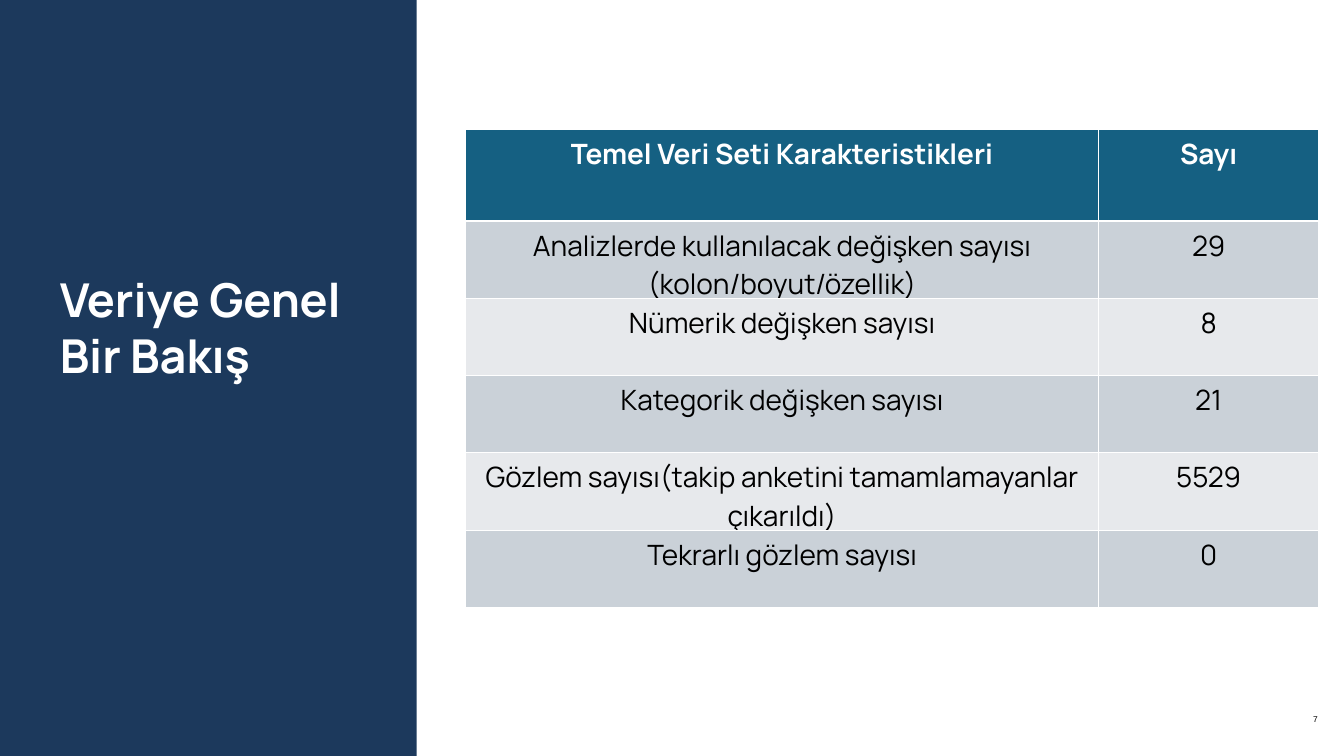
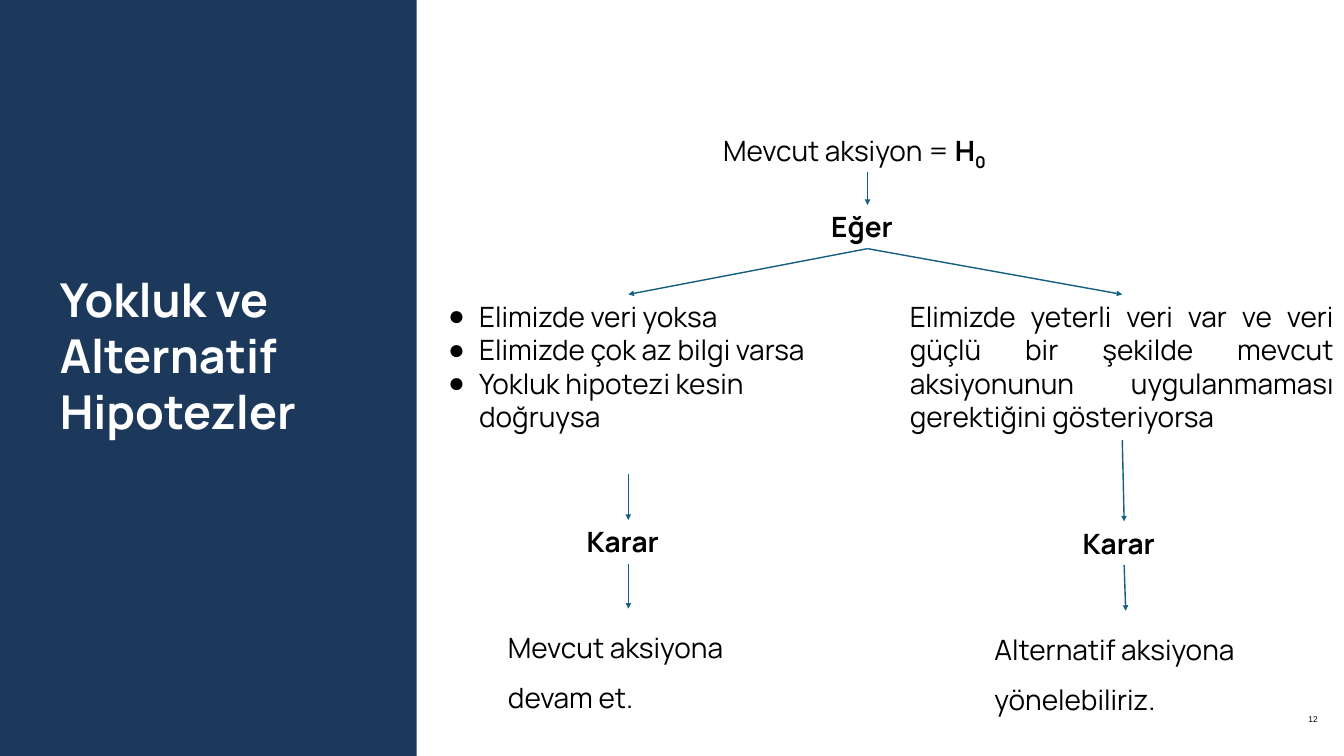
from dataclasses import dataclass
from typing import NamedTuple

from pptx import Presentation
from pptx.dml.color import RGBColor
from pptx.enum.shapes import MSO_CONNECTOR, MSO_SHAPE
from pptx.enum.text import MSO_ANCHOR, MSO_AUTO_SIZE, PP_ALIGN
from pptx.oxml.ns import qn
from pptx.util import Cm, Pt
from lxml import etree

LEFT, CENTER, RIGHT, JUSTIFY = PP_ALIGN.LEFT, PP_ALIGN.CENTER, PP_ALIGN.RIGHT, PP_ALIGN.JUSTIFY
TOP, MIDDLE = MSO_ANCHOR.TOP, MSO_ANCHOR.MIDDLE


@dataclass(frozen=True)
class Theme:
    band: str = "1C395C"
    accent: str = "156082"
    row_dark: str = "CAD1D8"
    row_light: str = "E7E9EC"
    white: str = "FFFFFF"
    black: str = "000000"
    font: str = "Manrope"
    number_font: str = "Arial"
    title_size: int = 50
    body_size: int = 30
    number_size: int = 9


THEME = Theme()


class Box(NamedTuple):
    """Left, top, width and height in centimetres."""
    x: float
    y: float
    w: float
    h: float


class Run(NamedTuple):
    text: str
    bold: bool = False
    subscript: bool = False


@dataclass(frozen=True)
class Label:
    box: Box
    paragraphs: list[list[Run]]
    align: PP_ALIGN = LEFT
    spacing: float | None = None
    bullet: bool = False


class Arrow(NamedTuple):
    x1: float
    y1: float
    x2: float
    y2: float


def add_xml(parent, tag: str, **attrs):
    return etree.SubElement(parent, qn(tag), attrs)


def set_bullet(p) -> None:
    pPr = p._p.get_or_add_pPr()
    pPr.set("marL", str(Cm(1.27)))
    pPr.set("indent", str(Cm(-1.17)))
    add_xml(add_xml(pPr, "a:buClr"), "a:srgbClr", val=THEME.black)
    add_xml(pPr, "a:buFont", typeface=THEME.number_font)
    add_xml(pPr, "a:buChar", char="●")


def write(tf, paragraphs: list[list[Run]], *, size: int = THEME.body_size,
          color: str = THEME.black, font: str = THEME.font, align=LEFT,
          spacing: float | None = None, bullet: bool = False) -> None:
    for i, runs in enumerate(paragraphs):
        p = tf.paragraphs[0] if i == 0 else tf.add_paragraph()
        p.alignment = align
        if spacing:
            p.line_spacing = spacing
        if bullet:
            set_bullet(p)
        for run in runs:
            r = p.add_run()
            r.text = run.text
            r.font.size = Pt(size)
            r.font.name = font
            r.font.bold = run.bold
            r.font.color.rgb = RGBColor.from_string(color)
            if run.subscript:
                r._r.get_or_add_rPr().set("baseline", "-25000")


def add_text(slide, box: Box, paragraphs: list[list[Run]], *, inset_x: float = 0.38,
             inset_y: float = 0.18, anchor=TOP, grow: bool = True, **style) -> None:
    tf = slide.shapes.add_textbox(*map(Cm, box)).text_frame
    tf.word_wrap = True
    tf.auto_size = MSO_AUTO_SIZE.SHAPE_TO_FIT_TEXT if grow else MSO_AUTO_SIZE.NONE
    tf.vertical_anchor = anchor
    tf.margin_left = tf.margin_right = Cm(inset_x)
    tf.margin_top = tf.margin_bottom = Cm(inset_y)
    write(tf, paragraphs, **style)


def add_arrow(slide, arrow: Arrow) -> None:
    line = slide.shapes.add_connector(MSO_CONNECTOR.STRAIGHT, *map(Cm, arrow))
    line.line.color.rgb = RGBColor.from_string(THEME.accent)
    line.line.width = Pt(1.5)
    add_xml(line.line._get_or_add_ln(), "a:tailEnd", type="triangle")
    add_xml(line._element.spPr, "a:effectLst")


def add_base_slide(prs, title: str, title_height: float, number: int):
    """Blank slide with the side band, its title and the page number."""
    slide = prs.slides.add_slide(prs.slide_layouts[6])
    band = slide.shapes.add_shape(MSO_SHAPE.RECTANGLE, Cm(0), Cm(-0.1), Cm(15.75), Cm(29))
    band.shadow.inherit = False
    band.fill.solid()
    band.fill.fore_color.rgb = RGBColor.from_string(THEME.band)
    band.line.fill.background()
    add_text(slide, Box(47.27, 26.11, 3.05, 2.18), [[Run(str(number))]], inset_x=0.51,
             inset_y=0.51, anchor=MIDDLE, grow=False, size=THEME.number_size,
             font=THEME.number_font, align=RIGHT)
    add_text(slide, Box(1.75, 9.73, 13.94, title_height), [[Run(title, bold=True)]],
             inset_x=0.51, inset_y=0.51, size=THEME.title_size, color=THEME.white)
    return slide


def set_borders(cell, bottom: float) -> None:
    tcPr = cell._tc.get_or_add_tcPr()
    sides = {"a:lnL": 1, "a:lnR": 1, "a:lnT": 1, "a:lnB": bottom}
    for i, (tag, width) in enumerate(sides.items()):
        ln = etree.Element(qn(tag), w=str(Pt(width)))
        add_xml(add_xml(ln, "a:solidFill"), "a:srgbClr", val=THEME.white)
        tcPr.insert(i, ln)


def add_data_table(slide, rows: list[tuple[str, str]]) -> None:
    widths, header_height, row_height = (23.93, 8.31), 3.48, 2.92
    height = header_height + row_height * (len(rows) - 1)
    table = slide.shapes.add_table(len(rows), len(widths), Cm(17.6), Cm(4.88),
                                   Cm(sum(widths)), Cm(height)).table
    for column, width in zip(table.columns, widths):
        column.width = Cm(width)
    for i, values in enumerate(rows):
        header = i == 0
        table.rows[i].height = Cm(header_height if header else row_height)
        fill = THEME.accent if header else (THEME.row_light, THEME.row_dark)[i % 2]
        for j, value in enumerate(values):
            cell = table.cell(i, j)
            cell.fill.solid()
            cell.fill.fore_color.rgb = RGBColor.from_string(fill)
            cell.margin_left = cell.margin_right = Cm(0.38)
            cell.margin_top = cell.margin_bottom = Cm(0.19)
            set_borders(cell, bottom=3 if header else 1)
            write(cell.text_frame, [[Run(value, bold=header)]], align=CENTER,
                  color=THEME.white if header else THEME.black)


DATA_ROWS = [
    ("Temel Veri Seti Karakteristikleri", "Sayı"),
    ("Analizlerde kullanılacak değişken sayısı (kolon/boyut/özellik)", "29"),
    ("Nümerik değişken sayısı", "8"),
    ("Kategorik değişken sayısı", "21"),
    ("Gözlem sayısı(takip anketini tamamlamayanlar çıkarıldı)", "5529"),
    ("Tekrarlı gözlem sayısı", "0"),
]

DECISION_LABELS = [
    Label(Box(26.95, 4.85, 11.66, 1.68),
          [[Run("Mevcut aksiyon = "), Run("H", bold=True), Run("0", bold=True, subscript=True)]]),
    Label(Box(31.04, 7.75, 3.48, 1.68), [[Run("Eğer", bold=True)]]),
    Label(Box(16.46, 11.13, 14.58, 6.81),
          [[Run("Elimizde veri yoksa")], [Run("Elimizde çok az bilgi varsa")],
           [Run("Yokluk hipotezi kesin doğruysa")]], bullet=True),
    Label(Box(34.01, 11.13, 16.79, 5.51),
          [[Run("Elimizde yeterli veri var ve veri güçlü bir şekilde mevcut aksiyonunun "
                "uygulanmaması gerektiğini gösteriyorsa")]], align=JUSTIFY),
    Label(Box(21.79, 19.66, 3.91, 1.68), [[Run("Karar", bold=True)]]),
    Label(Box(40.54, 19.71, 3.91, 1.68), [[Run("Karar", bold=True)]]),
    Label(Box(18.82, 23.01, 9.88, 3.58), [[Run("Mevcut aksiyona devam et.")]], spacing=1.5),
    Label(Box(37.21, 23.09, 10.64, 3.58), [[Run("Alternatif aksiyona yönelebiliriz.")]],
          spacing=1.5),
]

DECISION_ARROWS = [
    Arrow(32.79, 6.5, 32.79, 7.75),
    Arrow(32.79, 9.4, 23.75, 11.13),
    Arrow(32.79, 9.4, 42.42, 11.13),
    Arrow(23.75, 17.91, 23.75, 19.66),
    Arrow(23.75, 21.34, 23.75, 23.01),
    Arrow(42.42, 16.64, 42.49, 19.71),
    Arrow(42.49, 21.36, 42.55, 23.09),
]


def build_data_overview(prs) -> None:
    slide = add_base_slide(prs, "Veriye Genel Bir Bakış", 5.31, 7)
    add_data_table(slide, DATA_ROWS)


def build_hypotheses(prs) -> None:
    slide = add_base_slide(prs, "Yokluk ve Alternatif Hipotezler", 7.44, 12)
    for label in DECISION_LABELS:
        add_text(slide, label.box, label.paragraphs, align=label.align,
                 spacing=label.spacing, bullet=label.bullet)
    for arrow in DECISION_ARROWS:
        add_arrow(slide, arrow)


def main() -> None:
    prs = Presentation()
    prs.slide_width, prs.slide_height = Cm(50.8), Cm(28.58)
    build_data_overview(prs)
    build_hypotheses(prs)
    prs.save("out.pptx")


if __name__ == "__main__":
    main()
